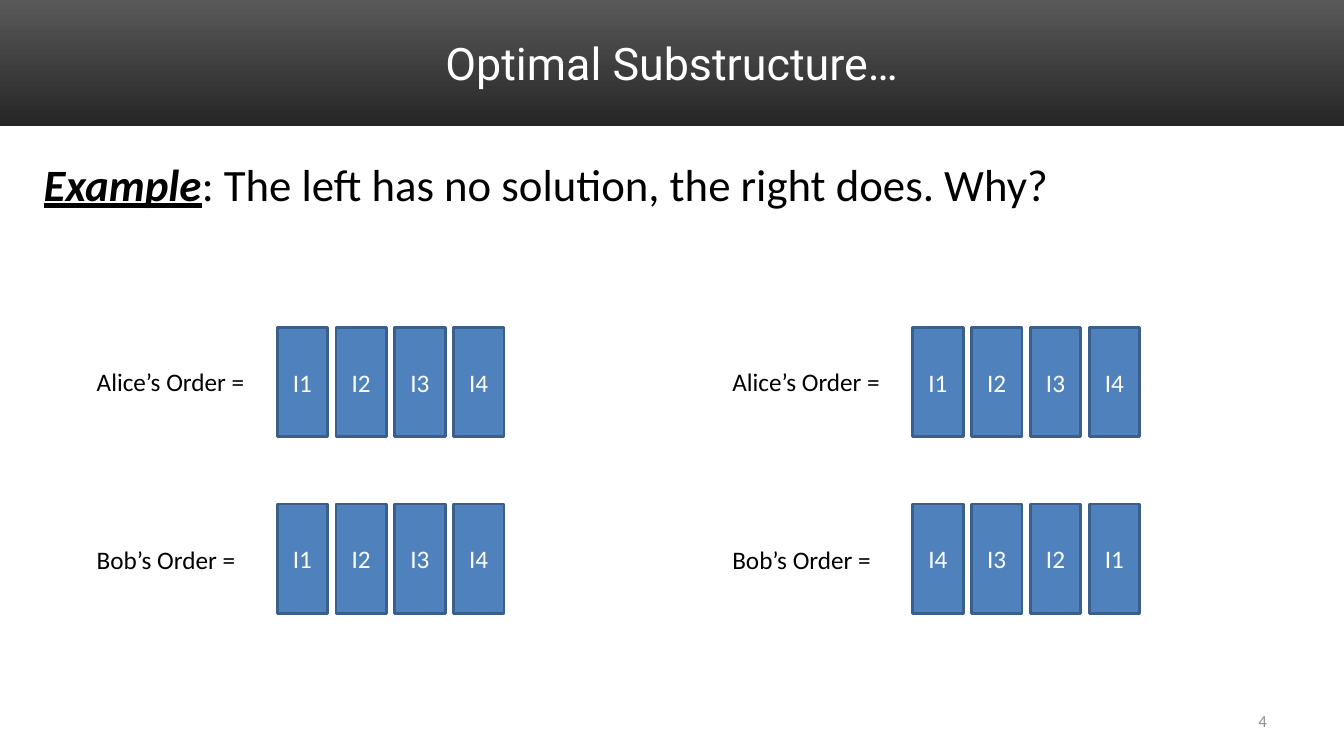
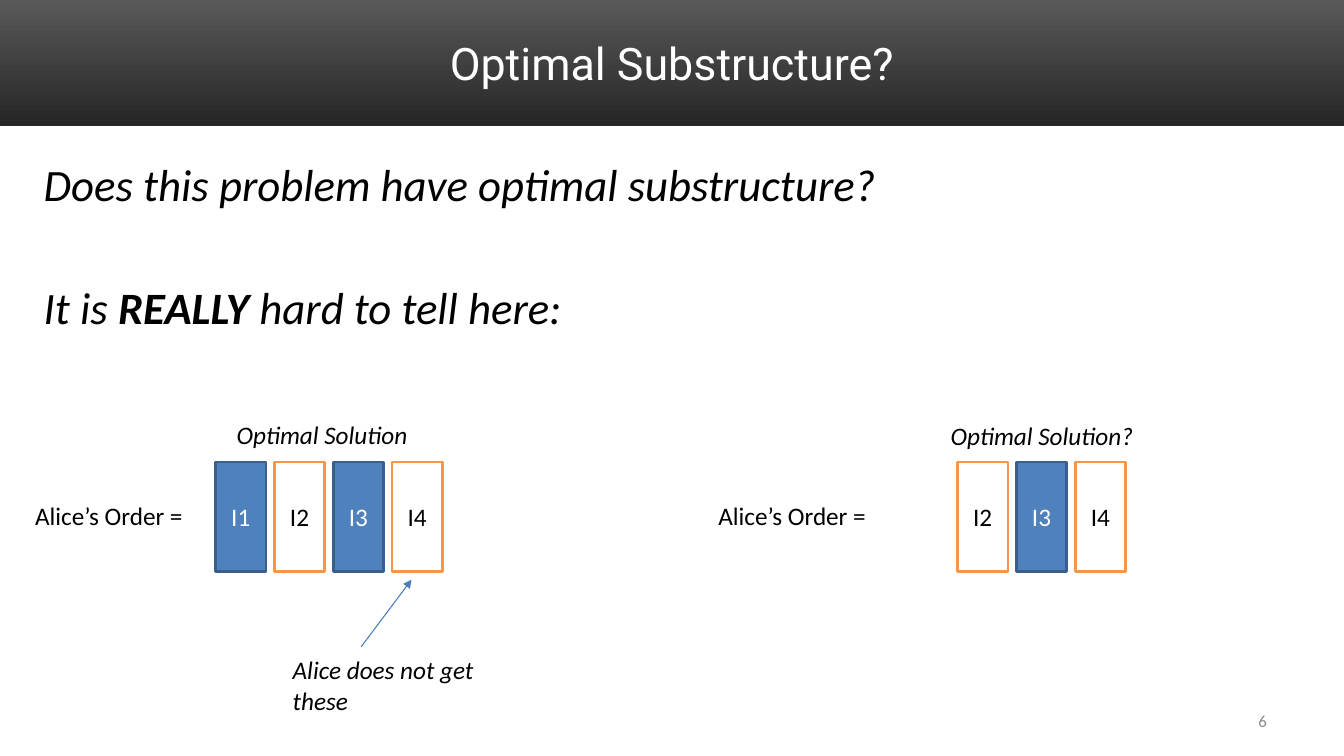
from dataclasses import dataclass

from lxml import etree
from pptx import Presentation
from pptx.dml.color import RGBColor
from pptx.enum import shapes, text
from pptx.oxml import ns
from pptx.util import Pt

COLORS = {
    "band_top": "595959",
    "band_bottom": "262626",
    "white": "FFFFFF",
    "black": "000000",
    "number": "8C8C8C",
    "blue": "4F81BD",
    "blue_edge": "3A5F8C",
    "orange": "F79646",
    "arrow": "4B7EBC",
}
BODY_FONT, TITLE_FONT = "Calibri", "Roboto"
SLIDE_W, SLIDE_H, BAND_H = 960, 540, 90
BOX_W, BOX_H, BOX_PITCH = 36, 78, 42
LABEL_W, LABEL_H = 142, 29


@dataclass(frozen=True)
class Order:
    owner: str
    label_x: float
    label_y: float
    box_x: float
    box_y: float
    items: tuple[str, ...]
    lost: tuple[str, ...] = ()


@dataclass(frozen=True)
class Note:
    words: str
    x: float
    y: float
    w: float
    h: float = LABEL_H


def rgb(name: str) -> RGBColor:
    return RGBColor.from_string(COLORS[name])


def write(p, words: str, *, size: float = 18, font: str = BODY_FONT,
          color: str = "black", bold: bool = False, italic: bool = False,
          underline: bool = False, align=None) -> None:
    if align is not None:
        p.alignment = align
    r = p.add_run()
    r.text = words
    f = r.font
    f.size, f.name, f.bold, f.italic = Pt(size), font, bold, italic
    f.underline = underline
    f.color.rgb = rgb(color)


def place(sp, x: float, y: float, w: float, h: float) -> None:
    sp.left, sp.top, sp.width, sp.height = Pt(x), Pt(y), Pt(w), Pt(h)


def add_text(s, words: str, x: float, y: float, w: float, h: float,
             anchor=text.MSO_ANCHOR.TOP, **fmt) -> None:
    tf = s.shapes.add_textbox(Pt(x), Pt(y), Pt(w), Pt(h)).text_frame
    tf.word_wrap = True
    tf.vertical_anchor = anchor
    write(tf.paragraphs[0], words, **fmt)


def add_rect(s, x: float, y: float, w: float, h: float):
    sp = s.shapes.add_shape(shapes.MSO_SHAPE.RECTANGLE, Pt(x), Pt(y), Pt(w), Pt(h))
    sp.shadow.inherit = False
    return sp


def add_band(s) -> None:
    sp = add_rect(s, 0, 0, SLIDE_W, BAND_H)
    sp.line.fill.background()
    sp.fill.gradient()
    sp.fill.gradient_angle = 270
    for stop, name in zip(sp.fill.gradient_stops, ("band_top", "band_bottom")):
        stop.color.rgb = rgb(name)
    s.slide_layout.shapes.element.insert(2, sp.element)


def add_item(s, name: str, x: float, y: float, lost: bool) -> None:
    sp = add_rect(s, x, y, BOX_W, BOX_H)
    sp.fill.solid()
    sp.fill.fore_color.rgb = rgb("white" if lost else "blue")
    sp.line.color.rgb = rgb("orange" if lost else "blue_edge")
    sp.line.width = Pt(2)
    tf = sp.text_frame
    tf.vertical_anchor = text.MSO_ANCHOR.MIDDLE
    write(tf.paragraphs[0], name, color="black" if lost else "white",
          align=text.PP_ALIGN.CENTER)


def add_order(s, order: Order) -> None:
    for i, name in enumerate(order.items):
        add_item(s, name, order.box_x + i * BOX_PITCH, order.box_y,
                 name in order.lost)
    add_text(s, f"{order.owner}’s Order =", order.label_x, order.label_y,
             LABEL_W, LABEL_H)


def add_arrow(s, x1: float, y1: float, x2: float, y2: float) -> None:
    c = s.shapes.add_connector(shapes.MSO_CONNECTOR.STRAIGHT,
                               Pt(x1), Pt(y1), Pt(x2), Pt(y2))
    c.line.color.rgb = rgb("arrow")
    c.line.width = Pt(0.75)
    props = c.element.spPr
    etree.SubElement(props.find(ns.qn("a:ln")), ns.qn("a:tailEnd"), type="triangle")
    etree.SubElement(props, ns.qn("a:effectLst"))


def add_slide(prs, title: str, number: int, body_h: float,
              lines: list[list[tuple[str, dict]]]):
    s = prs.slides.add_slide(prs.slide_layouts[1])
    tf = s.shapes.title.text_frame
    tf.auto_size = text.MSO_AUTO_SIZE.NONE
    write(tf.paragraphs[0], title, size=32, font=TITLE_FONT, color="white",
          align=text.PP_ALIGN.CENTER)
    body = s.placeholders[1]
    place(body, 24, 108, 906, body_h)
    tf = body.text_frame
    tf.auto_size = text.MSO_AUTO_SIZE.NONE
    for i, line in enumerate(lines):
        p = tf.add_paragraph() if i else tf.paragraphs[0]
        props = p._p.get_or_add_pPr()
        props.set("marL", "0")
        props.set("indent", "0")
        etree.SubElement(props, ns.qn("a:buNone"))
        p.space_before = Pt(50 if i else 0)
        for words, fmt in line:
            write(p, words, size=32, **fmt)
    add_text(s, str(number), 688, 500, 224, 29, anchor=text.MSO_ANCHOR.MIDDLE,
             size=12, color="number", align=text.PP_ALIGN.RIGHT)
    return s


def main() -> None:
    prs = Presentation()
    prs.slide_width, prs.slide_height = Pt(SLIDE_W), Pt(SLIDE_H)
    place(prs.slide_layouts[1].placeholders[0], 48, 12, 864, 66)

    s = add_slide(prs, "Optimal Substructure…", 4, 114, [[
        ("Example", {"bold": True, "italic": True, "underline": True}),
        (": The left has no solution, the right does. Why?", {}),
    ]])
    add_band(s)
    items = ("I1", "I2", "I3", "I4")
    for label_x, box_x, bob_items in ((62, 198, items), (516, 652, items[::-1])):
        add_order(s, Order("Alice", label_x, 258, box_x, 234, items))
        add_order(s, Order("Bob", label_x, 385, box_x, 360, bob_items))

    s = add_slide(prs, "Optimal Substructure?", 6, 150, [
        [("Does this problem have optimal substructure?", {"italic": True})],
        [("It is ", {"italic": True}),
         ("REALLY", {"bold": True, "italic": True}),
         (" hard to tell here:", {"italic": True})],
    ])
    lost = ("I2", "I4")
    add_order(s, Order("Alice", 18, 354, 154, 330, items, lost))
    add_order(s, Order("Alice", 506, 354, 684, 330, items[1:], lost))
    add_arrow(s, 258, 462, 294, 414)
    for n in (Note("Alice does not get these", 202, 464, 144, 51),
              Note("Optimal Solution", 162, 296, 144),
              Note("Optimal Solution?", 672, 297, 172)):
        add_text(s, n.words, n.x, n.y, n.w, n.h, italic=True)

    prs.save("out.pptx")


if __name__ == "__main__":
    main()
